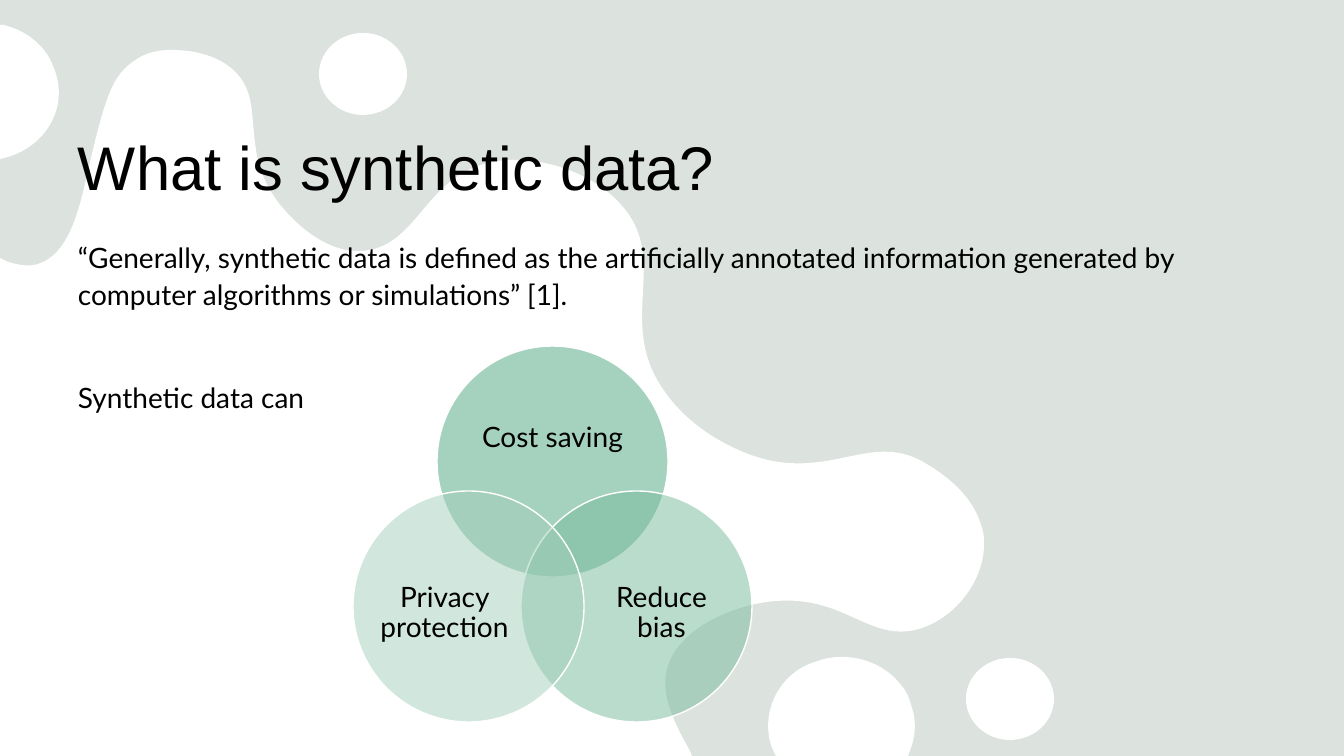
from pptx import Presentation
from pptx.dml.color import RGBColor as Rgb
from pptx.enum.shapes import MSO_SHAPE as Shape
from pptx.enum.text import MSO_ANCHOR as Anchor, PP_ALIGN as Align
from pptx.oxml.ns import qn
from pptx.util import Pt
from lxml.etree import SubElement

WIDTH, HEIGHT = 1344, 756
SCALE = 12192000 / WIDTH
COLORS = {"backdrop": "E2E8E4", "veil": "AEAEAE", "white": "FFFFFF", "text": "000000",
          "cost": "4DA481", "bias": "77BB9D", "privacy": "A4CFBA"}
BLOB = [
    (171, 50), (193, 50, 215, 55, 231, 68), (269, 99, 237, 148, 278, 202),
    (283, 209, 319, 254, 362, 251), (418, 247, 423, 179, 488, 163),
    (533, 152, 593, 171, 623, 207), (670, 262, 615, 323, 665, 392),
    (700, 442, 759, 458, 764, 459), (834, 477, 873, 432, 925, 463),
    (935, 469, 971, 490, 981, 525), (981, 525), (983, 530, 984, 535, 984, 540),
    (986, 579, 956, 618, 919, 629), (870, 643, 846, 596, 777, 601),
    (742, 603, 689, 622, 671, 658), (656, 689, 673, 720, 690, 751),
    (692, 756), (0, 756), (0, 258), (8, 262),
    (19, 265, 29, 267, 38, 264), (68, 255, 79, 211, 86, 179),
    (105, 98, 111, 75, 137, 59), (146, 53, 158, 50, 171, 50),
]
LEFT_DROP = [(0, 25), (4, 25), (7, 26), (22, 30, 35, 39, 44, 50), (49, 56, 52, 63, 55, 71),
             (68, 107, 47, 145, 8, 157), (0, 159)]
BOTTOM_DROP = [(842, 657), (865, 657, 887, 667, 901, 685), (907, 692, 909, 697, 911, 705),
               (916, 718, 916, 732, 912, 745), (908, 756), (776, 756), (772, 748),
               (759, 712, 780, 671, 818, 661), (826, 658, 834, 657, 842, 657)]


def px(length):
    """Turn a length in px into EMU."""
    return round(length * SCALE)


def color(name):
    """Look up a named colour."""
    return Rgb.from_string(COLORS[name])


def paint(shape, name, opacity=100):
    """Give a shape a flat fill and no shadow."""
    shape.shadow.inherit = False
    shape.fill.solid()
    shape.fill.fore_color.rgb = color(name)
    if opacity < 100:
        fill = shape.fill._xPr.find(qn("a:solidFill"))
        SubElement(fill[0], qn("a:alpha"), val=str(opacity * 1000))


def add_text(shapes, box, paragraphs, font, paragraph_format=None, anchor=Anchor.TOP, insets=(10, 5)):
    """Add a wrapped text box holding (text, space before) paragraphs."""
    frame = shapes.add_textbox(*map(px, box)).text_frame
    side, edge = map(px, insets)
    frame_format = {"word_wrap": True, "vertical_anchor": anchor, "margin_left": side,
                    "margin_right": side, "margin_top": edge, "margin_bottom": edge}
    for name, value in frame_format.items():
        setattr(frame, name, value)
    for index, (text, space_before) in enumerate(paragraphs):
        paragraph = frame.add_paragraph() if index else frame.paragraphs[0]
        run = paragraph.add_run()
        run.text = text
        for name, value in {"space_before": Pt(space_before), **(paragraph_format or {})}.items():
            setattr(paragraph, name, value)
        for name, value in font.items():
            setattr(run.font, name, value)
        run.font.color.rgb = color("text")


def round_drop(x, y, radius_x, radius_y):
    """Outline an ellipse with four curves."""
    bend_x, bend_y = 0.55 * radius_x, 0.55 * radius_y
    left, right, top, bottom = x - radius_x, x + radius_x, y - radius_y, y + radius_y
    return [(x, top), (x + bend_x, top, right, y - bend_y, right, y),
            (right, y + bend_y, x + bend_x, bottom, x, bottom),
            (x - bend_x, bottom, left, y + bend_y, left, y),
            (left, y - bend_y, x - bend_x, top, x, top)]


def add_curves(slide, outlines):
    """Build one freeform from outlines of straight and cubic segments."""
    builder = slide.shapes.build_freeform(*map(px, outlines[0][0]))
    for index, (start, *segments) in enumerate(outlines):
        if index:
            builder.move_to(*map(px, start))
        builder.add_line_segments([tuple(map(px, segment[-2:])) for segment in segments], close=True)
    shape = builder.convert_to_shape()
    segments = [segment for outline in outlines for segment in outline[1:]]
    for line, segment in zip(list(shape._element.iter(qn("a:lnTo"))), segments):
        if len(segment) == 6:
            curve = line.makeelement(qn("a:cubicBezTo"), {})
            for x, y in zip(segment[::2], segment[1::2]):
                SubElement(curve, qn("a:pt"), x=str(px(x) - shape.left), y=str(px(y) - shape.top))
            line.getparent().replace(line, curve)
    return shape


def add_backdrop(slide):
    """Paint the slide with a veil and a white blob with drops."""
    slide.background.fill.solid()
    slide.background.fill.fore_color.rgb = color("backdrop")
    veil = slide.shapes.add_shape(Shape.RECTANGLE, 0, 0, px(WIDTH), px(HEIGHT))
    paint(veil, "veil", 10)
    drops = [round_drop(363, 74, 44, 41), round_drop(1010, 699, 44, 41)]
    blob = add_curves(slide, [BLOB, LEFT_DROP, BOTTOM_DROP, *drops])
    paint(blob, "white")
    for shape in (veil, blob):
        shape.line.fill.background()


def add_venn(slide, box):
    """Draw three overlapping translucent circles with labels."""
    left, top, width, height = box
    size = 231
    right, low = width - size, height - size
    circles = [("cost", right // 2, 0, "Cost saving", (31, 40, 169, 104)),
               ("bias", right, low, "Reduce bias", (71, 59, 139, 127)),
               ("privacy", 0, low, "Privacy protection", (22, 59, 139, 127))]
    shapes = slide.shapes.add_group_shape().shapes
    for name, x, y, label, (label_x, label_y, label_width, label_height) in circles:
        x, y = left + x, top + y
        circle = shapes.add_shape(Shape.OVAL, px(x), px(y), px(size), px(size))
        paint(circle, name, 50)
        circle.line.color.rgb = color("white")
        circle.line.width = Pt(1)
        add_text(shapes, (x + label_x, y + label_y, label_width, label_height), [(label, 0)],
                 {"name": "Lato", "size": Pt(20)},
                 {"alignment": Align.CENTER, "line_spacing": 0.9}, Anchor.MIDDLE, (0, 0))


def main():
    """Build and save the slide."""
    presentation = Presentation()
    presentation.slide_width, presentation.slide_height = px(WIDTH), px(HEIGHT)
    slide = presentation.slides.add_slide(presentation.slide_layouts[6])
    add_backdrop(slide)
    add_text(slide.shapes, (68, 62, 1210, 146), [("What is synthetic data?", 0)],
             {"name": "Arial", "size": Pt(44)}, anchor=Anchor.BOTTOM)
    definition = ("“Generally, synthetic data is defined as the artificially annotated information "
                  "generated by computer algorithms or simulations” [1].")
    add_text(slide.shapes, (68, 232, 1210, 444), [(definition, 0), ("Synthetic data can", 47)],
             {"name": "Lato", "size": Pt(20)}, {"line_spacing": 1.1})
    add_venn(slide, (353, 346, 399, 376))
    presentation.save("out.pptx")


if __name__ == "__main__":
    main()
